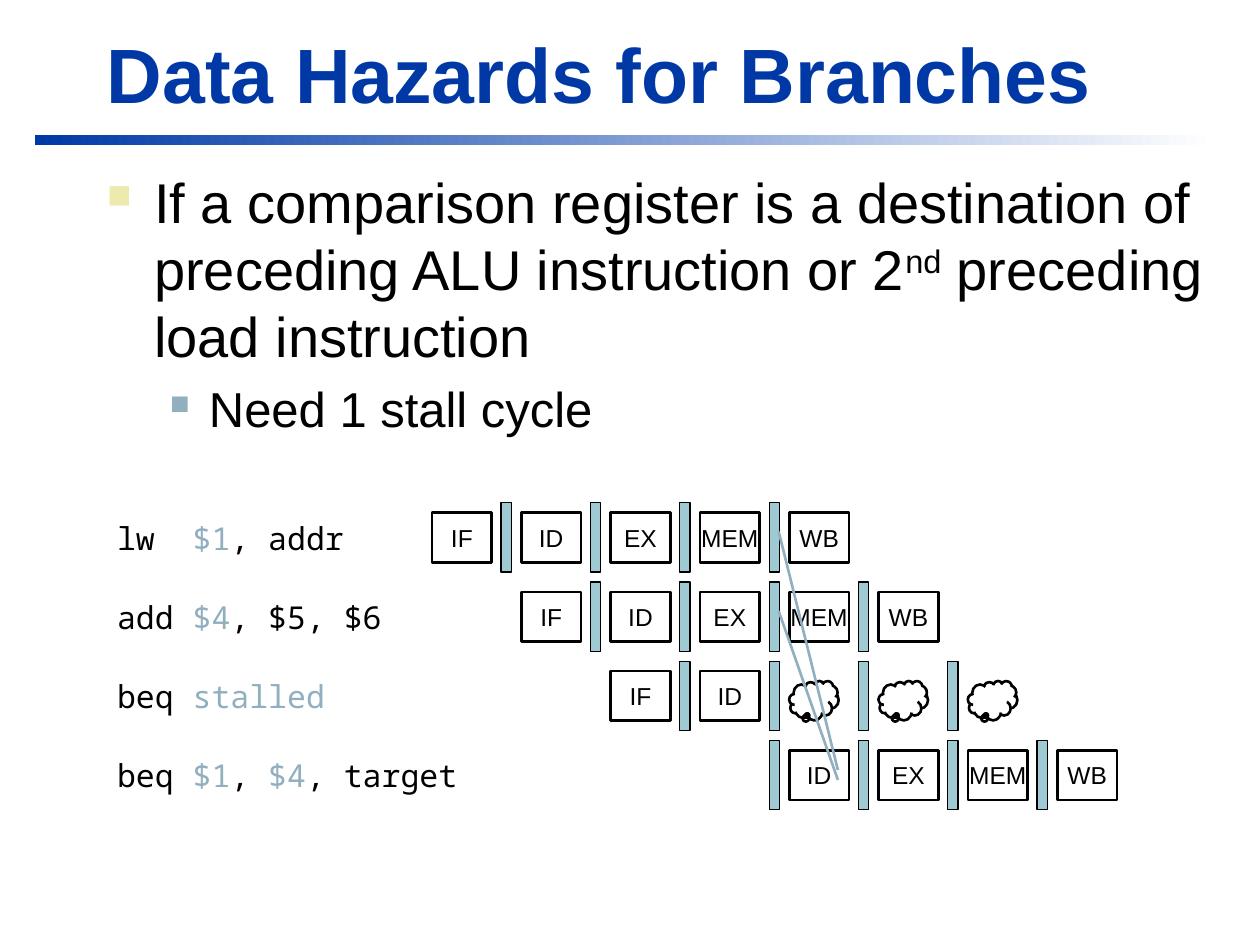
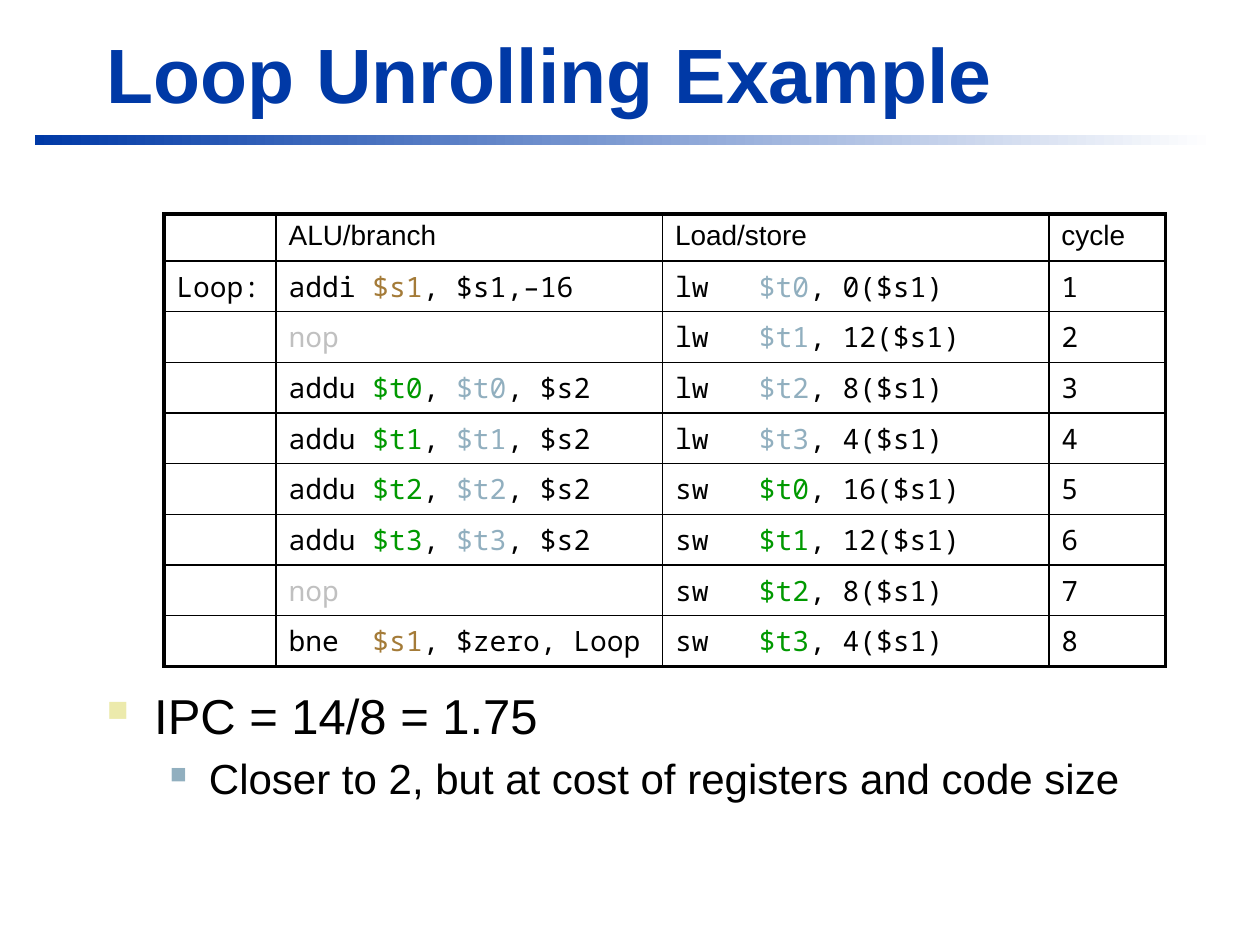
from lxml import etree
from pptx import Presentation, util as u
from pptx.dml import color as dml
from pptx.enum import shapes, text
from pptx.oxml import ns

Pt = u.Pt
COLOURS = {
    "title": "0039A6", "page": "FFFFFF", "ink": "000000", "bullet": "ECEAAC",
    "hazard": "91AFBF", "register": "9FCAD3", "pointer": "A47B38",
    "result": "009900", "idle": "C0C0C0",
}
SANS, MONO = "Arial", "Noto Sans Mono"
# Per outline level: left margin, hanging indent, bullet colour, bullet size
LEVELS = [(27, -27, "bullet", 60), (58.3, -22.3, "hazard", 55)]


def rgb(name):
    return dml.RGBColor.from_string(COLOURS[name])


def add_xml(parent, tag, **attributes):
    return etree.SubElement(parent, ns.qn(tag), attributes)


def apply_format(target, values):
    for name, value in values.items():
        setattr(target, name, value)


class Deck:
    def __init__(self):
        self.prs = Presentation()
        apply_format(self.prs, {"slide_width": Pt(720), "slide_height": Pt(540)})
        self.slide = None

    def new_slide(self, title):
        self.slide = self.prs.slides.add_slide(self.prs.slide_layouts[6])
        # Fading band under the title
        band = self.shape(shapes.MSO_SHAPE.RECTANGLE, (19.8, 77, 674.6, 5.8))
        band.line.fill.background()
        band.fill.gradient()
        band.fill.gradient_angle = 0
        for stop, name, place in zip(band.fill.gradient_stops, ("title", "page"), (0, 1)):
            stop.color.rgb = rgb(name)
            stop.position = place
        heading = self.text_box((54, 11.5, 650, 59.8), wrap=True)
        heading.vertical_anchor = text.MSO_ANCHOR.BOTTOM
        self.runs(heading.paragraphs[0], [(title, "title")], 44, SANS, bold=True)

    def runs(self, paragraph, pieces, size, font, **extra):
        """Each piece is plain text, or a pair of text and colour name."""
        added = []
        for piece in pieces:
            words, colour = (piece, "ink") if isinstance(piece, str) else piece
            run = paragraph.add_run()
            run.text = words
            apply_format(run.font, {"size": Pt(size), "name": font, **extra})
            run.font.color.rgb = rgb(colour)
            added.append(run)
        return added

    def text_box(self, place, wrap=False):
        frame = self.slide.shapes.add_textbox(*map(Pt, place)).text_frame
        frame.word_wrap = wrap
        return frame

    def shape(self, kind, place, fill=None, line=0.75):
        shape = self.slide.shapes.add_shape(kind, *map(Pt, place))
        shape.shadow.inherit = False
        if fill:
            shape.fill.solid()
            shape.fill.fore_color.rgb = rgb(fill)
        else:
            shape.fill.background()
        shape.line.color.rgb = rgb("ink")
        shape.line.width = Pt(line)
        return shape

    def label(self, shape, words):
        frame = shape.text_frame
        apply_format(frame, {"word_wrap": False, "vertical_anchor": text.MSO_ANCHOR.MIDDLE})
        frame.paragraphs[0].alignment = text.PP_ALIGN.CENTER
        self.runs(frame.paragraphs[0], [words], 14, SANS)

    def code(self, left, top, pieces):
        self.runs(self.text_box((left, top, 210, 29)).paragraphs[0], pieces, 18, MONO)

    def outline(self, place, items):
        """Items are (level, size, pieces); returns the runs of each item."""
        frame = self.text_box(place, wrap=True)
        result = []
        for i, (level, size, pieces) in enumerate(items):
            paragraph = frame.add_paragraph() if i else frame.paragraphs[0]
            margin, indent, colour, percent = LEVELS[level]
            paragraph.level = level
            props = paragraph._p.get_or_add_pPr()
            props.set("marL", str(Pt(margin)))
            props.set("indent", str(Pt(indent)))
            add_xml(add_xml(props, "a:buClr"), "a:srgbClr", val=COLOURS[colour])
            add_xml(props, "a:buSzPct", val=str(percent * 1000))
            add_xml(props, "a:buChar", char="■")
            if i:
                paragraph.space_before = Pt(0.2 * size)
            result.append(self.runs(paragraph, pieces, size, SANS))
        return result

    def line(self, start, end):
        line = self.slide.shapes.add_connector(
            shapes.MSO_CONNECTOR.STRAIGHT, *map(Pt, start + end))
        line.line.color.rgb = rgb("hazard")
        line.line.width = Pt(1.5)
        add_xml(line._element.spPr, "a:effectLst")

    def table(self, left, top, widths, heights, rows):
        table = self.slide.shapes.add_table(
            len(rows), len(widths), Pt(left), Pt(top),
            Pt(sum(widths)), Pt(sum(heights))).table
        apply_format(table, {"first_row": False, "horz_banding": False})
        for column, width in zip(table.columns, widths):
            column.width = Pt(width)
        last_row, last_column = len(rows) - 1, len(widths) - 1
        for r, pieces_by_column in enumerate(rows):
            table.rows[r].height = Pt(heights[r])
            for c, pieces in enumerate(pieces_by_column):
                cell = table.cell(r, c)
                self.borders(cell, {
                    "a:lnL": 2.25 if c == 0 else 1,
                    "a:lnR": 2.25 if c == last_column else 1,
                    "a:lnT": {0: 2.25, 1: 1.5}.get(r, 1),
                    "a:lnB": {0: 1.5, last_row: 2.25}.get(r, 1)})
                cell.fill.background()
                paragraph = cell.text_frame.paragraphs[0]
                if pieces:
                    self.runs(paragraph, pieces, 16, MONO if r else SANS)
                else:
                    add_xml(paragraph._p, "a:endParaRPr", sz="1600")

    def borders(self, cell, widths):
        props = cell._tc.get_or_add_tcPr()
        for side, width in widths.items():
            edge = add_xml(props, side, w=str(Pt(width)))
            add_xml(add_xml(edge, "a:solidFill"), "a:srgbClr", val=COLOURS["ink"])


def branch_hazards(deck):
    deck.new_slide("Data Hazards for Branches")
    first, _ = deck.outline((54, 92, 652, 184), [
        (0, 32, ["If a comparison register is a destination of preceding "
                 "ALU instruction or 2", "nd", " preceding load instruction"]),
        (1, 28, ["Need 1 stall cycle"])])
    first[1].font._element.set("baseline", "30000")

    # Pipeline: instruction, first clock slot, stages (None is a bubble)
    pipeline = [
        (["lw  ", ("$1", "hazard"), ", addr"], 0, ["IF", "ID", "EX", "MEM", "WB"]),
        (["add ", ("$4", "hazard"), ", $5, $6"], 1, ["IF", "ID", "EX", "MEM", "WB"]),
        (["beq ", ("stalled", "hazard")], 2, ["IF", "ID", None, None, None]),
        (["beq ", ("$1", "hazard"), ", ", ("$4", "hazard"), ", target"], 4,
         ["ID", "EX", "MEM", "WB"]),
    ]
    left, top, slot_pitch, row_pitch = 246.8, 293, 51.05, 45.25
    for row, (instruction, first_slot, stages) in enumerate(pipeline):
        y = top + row * row_pitch
        deck.code(59.8, y, instruction)
        for slot, stage in enumerate(stages, first_slot):
            x = left + slot * slot_pitch
            if stage != "IF":
                deck.shape(shapes.MSO_SHAPE.RECTANGLE, (x - 11.5, y - 5.7, 5.8, 39.6),
                           "register")
            if stage:
                box = deck.shape(shapes.MSO_SHAPE.RECTANGLE, (x, y, 34.2, 28.4), line=1.5)
                deck.label(box, stage)
            else:
                bubble = deck.shape(shapes.MSO_SHAPE.CLOUD_CALLOUT,
                                    (x, y + 5.6, 28.3, 22.5), line=1.5)
                bubble.adjustments[0], bubble.adjustments[1] = -0.13, 0.36

    # Forwarding into the branch comparison
    deck.line((445, 303.8), (478.8, 440))
    deck.line((445, 349.2), (478.8, 445.7))


def loop_unrolling(deck):
    deck.new_slide("Loop Unrolling Example")

    def add(n):
        return ["addu ", (f"$t{n}", "result"), ", ", (f"$t{n}", "hazard"), ", $s2"]

    def memory(operation, n, offset):
        colour = "hazard" if operation == "lw" else "result"
        return [f"{operation}   ", (f"$t{n}", colour), f", {offset}($s1)"]

    nop = [("nop", "idle")]
    alu = [["addi ", ("$s1", "pointer"), ", $s1,–16"], nop, *map(add, range(4)), nop,
           ["bne  ", ("$s1", "pointer"), ", $zero, Loop"]]
    loads = [memory("lw", n, offset) for n, offset in enumerate((0, 12, 8, 4))]
    stores = [memory("sw", n, offset) for n, offset in enumerate((16, 12, 8, 4))]
    rows = [[None, ["ALU/branch"], ["Load/store"], ["cycle"]]]
    for cycle, (left, right) in enumerate(zip(alu, loads + stores), 1):
        rows.append([["Loop:"] if cycle == 1 else None, left, right, [str(cycle)]])
    deck.table(93.6, 122.4, [64.2, 220.8, 220.8, 66.8], [26.8] + [28.95] * 8, rows)

    deck.outline((54, 388, 652, 104), [
        (0, 28, ["IPC = 14/8 = 1.75"]),
        (1, 24, ["Closer to 2, but at cost of registers and code size"])])


def main():
    deck = Deck()
    branch_hazards(deck)
    loop_unrolling(deck)
    deck.prs.save("out.pptx")


if __name__ == "__main__":
    main()
